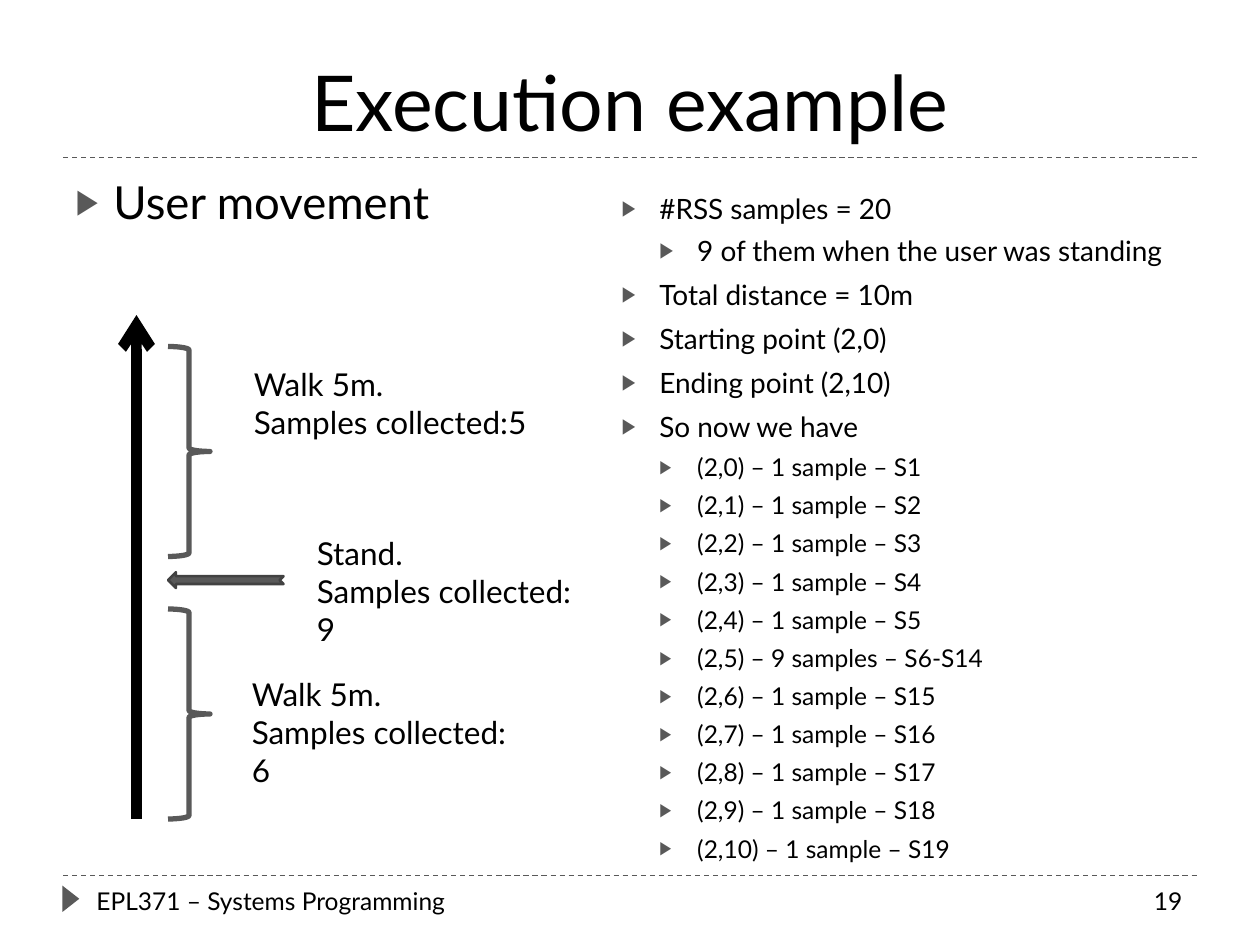
from lxml import etree
from pptx import Presentation
from pptx.dml.color import RGBColor
from pptx.enum.dml import MSO_LINE
from pptx.enum.shapes import MSO_CONNECTOR, MSO_SHAPE
from pptx.enum.text import MSO_ANCHOR, MSO_AUTO_SIZE, PP_ALIGN
from pptx.oxml.ns import qn
from pptx.util import Inches, Pt

STRAIGHT = MSO_CONNECTOR.STRAIGHT
DASH = MSO_LINE.DASH
BRACE = MSO_SHAPE.RIGHT_BRACE
TRIANGLE = MSO_SHAPE.ISOSCELES_TRIANGLE
NOTCHED = MSO_SHAPE.NOTCHED_RIGHT_ARROW
LEFT, CENTER, RIGHT = PP_ALIGN.LEFT, PP_ALIGN.CENTER, PP_ALIGN.RIGHT
TOP, BOTTOM = MSO_ANCHOR.TOP, MSO_ANCHOR.BOTTOM
BLACK = RGBColor(0, 0, 0)
GRAY = RGBColor(0x59, 0x59, 0x59)
DARK = RGBColor(0x42, 0x42, 0x42)
INDENT = Inches(0.3)

deck = Presentation()
deck.slide_width, deck.slide_height = Inches(10), Inches(7.5)
COLUMN = deck.slide_width / 120
ROW = deck.slide_height / 90
page = deck.slides.add_slide(deck.slide_layouts[3])
title, movement, results = page.placeholders


def grid(left, top, width, height):
    return [int(n * unit) for n, unit in zip((left, top, width, height), (COLUMN, ROW) * 2)]


def write(box, place, lines, align=LEFT, anchor=TOP, bullets=False):
    box.left, box.top, box.width, box.height = grid(*place)
    frame = box.text_frame
    frame_format = {"word_wrap": True, "auto_size": MSO_AUTO_SIZE.NONE, "vertical_anchor": anchor}
    for name, value in frame_format.items():
        setattr(frame, name, value)
    for number, (text, size, level) in enumerate(lines):
        para = frame.paragraphs[0] if number == 0 else frame.add_paragraph()
        gap = Pt(6 - level) if bullets and number else Pt(0)
        for name, value in {"level": level, "alignment": align, "space_before": gap}.items():
            setattr(para, name, value)
        if bullets:
            props = para._p.get_or_add_pPr()
            props.set("marL", str(INDENT * (level + 1)))
            props.set("indent", str(-INDENT))
            color = etree.SubElement(props, qn("a:buClr"))
            etree.SubElement(color, qn("a:srgbClr"), val=str(GRAY))
            etree.SubElement(props, qn("a:buSzPct"), val="76000")
            etree.SubElement(props, qn("a:buChar"), char="▶")
        span = para.add_run()
        span.text = text
        for name, value in {"name": "Lato", "size": Pt(size)}.items():
            setattr(span.font, name, value)
        span.font.color.rgb = BLACK


for left, top, right, bottom, color, weight, dash in [
    (6, 83.4, 114, 83.4, GRAY, 0.75, DASH),
    (6, 15, 114, 15, GRAY, 0.75, DASH),
    (13, 78, 13, 30, BLACK, 6, None),
]:
    line = page.shapes.add_connector(STRAIGHT, *grid(left, top, right, bottom))
    line.line.color.rgb = color
    line.line.width = Pt(weight)
    line.line.dash_style = dash
    etree.SubElement(line._element.spPr, qn("a:effectLst"))
etree.SubElement(line.line._get_or_add_ln(), qn("a:tailEnd"), type="arrow")

for kind, place, turn, fill, outline, weight in [
    (TRIANGLE, (5.5, 84.8, 2.5, 1.6), 90, GRAY, None, 0),
    (BRACE, (16, 33, 4, 20), 0, None, GRAY, 3),
    (BRACE, (16, 58, 4, 20), 0, None, GRAY, 3),
    (NOTCHED, (16, 54.5, 11, 1.5), 180, GRAY, DARK, 1.5),
]:
    shape = page.shapes.add_shape(kind, *grid(*place))
    shape.shadow.inherit = False
    shape.rotation = turn
    if fill:
        shape.fill.solid()
        shape.fill.fore_color.rgb = fill
    else:
        shape.fill.background()
    if outline:
        shape.line.color.rgb = outline
        shape.line.width = Pt(weight)
    else:
        shape.line.fill.background()

samples = [f"(2,{step}) – 1 sample – S{step + 1 if step < 5 else step + 9}" for step in range(11)]
samples[5] = "(2,5) – 9 samples – S6-S14"
findings = [
    ("#RSS samples = 20", 16, 0),
    ("9 of them when the user was standing", 16, 1),
    ("Total distance = 10m", 16, 0),
    ("Starting point (2,0)", 16, 0),
    ("Ending point (2,10)", 16, 0),
    ("So now we have", 16, 0),
] + [(sample, 14, 1) for sample in samples]

write(title, (6, -0.4, 108, 15), [("Execution example", 44, 0)], CENTER, BOTTOM)
write(movement, (6, 16, 53, 64.8), [("User movement", 26, 0)], bullets=True)
write(results, (58, 17.6, 59, 59.4), findings, bullets=True)

for place, texts, size, align in [
    ((23, 34.2, 29, 8.5), ("Walk 5m.", "Samples collected:5"), 18, LEFT),
    ((29, 50.3, 29, 12.1), ("Stand.", "Samples collected: 9"), 18, LEFT),
    ((22.8, 63.7, 29, 12.1), ("Walk 5m.", "Samples collected: 6"), 18, LEFT),
    ((8, 83.8, 46, 4.8), ("EPL371 – Systems Programming",), 14, LEFT),
    ((87.8, 83.8, 26, 4.8), ("19",), 14, RIGHT),
]:
    label = page.shapes.add_textbox(*grid(*place))
    write(label, place, [(text, size, 0) for text in texts], align)

deck.save("out.pptx")
